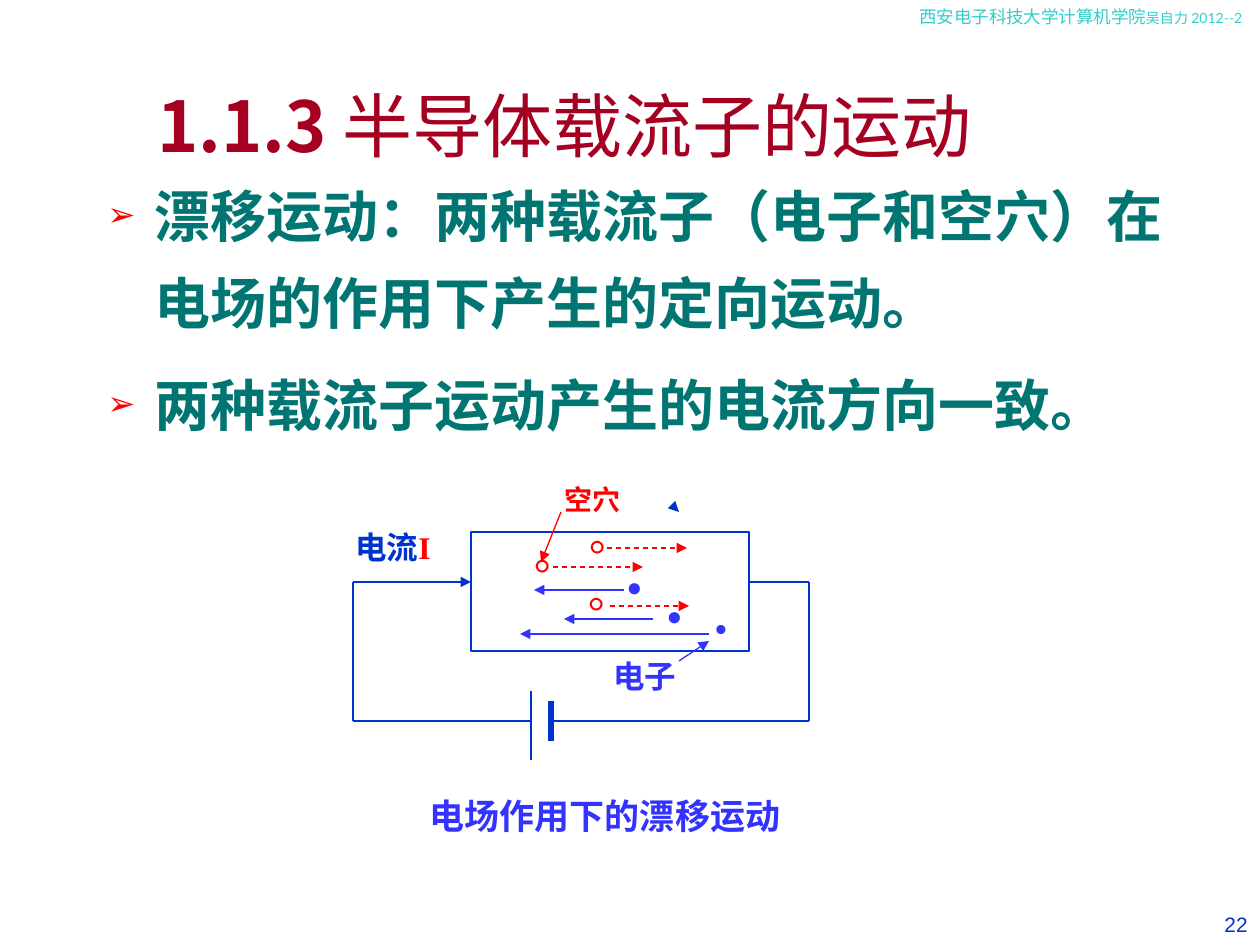
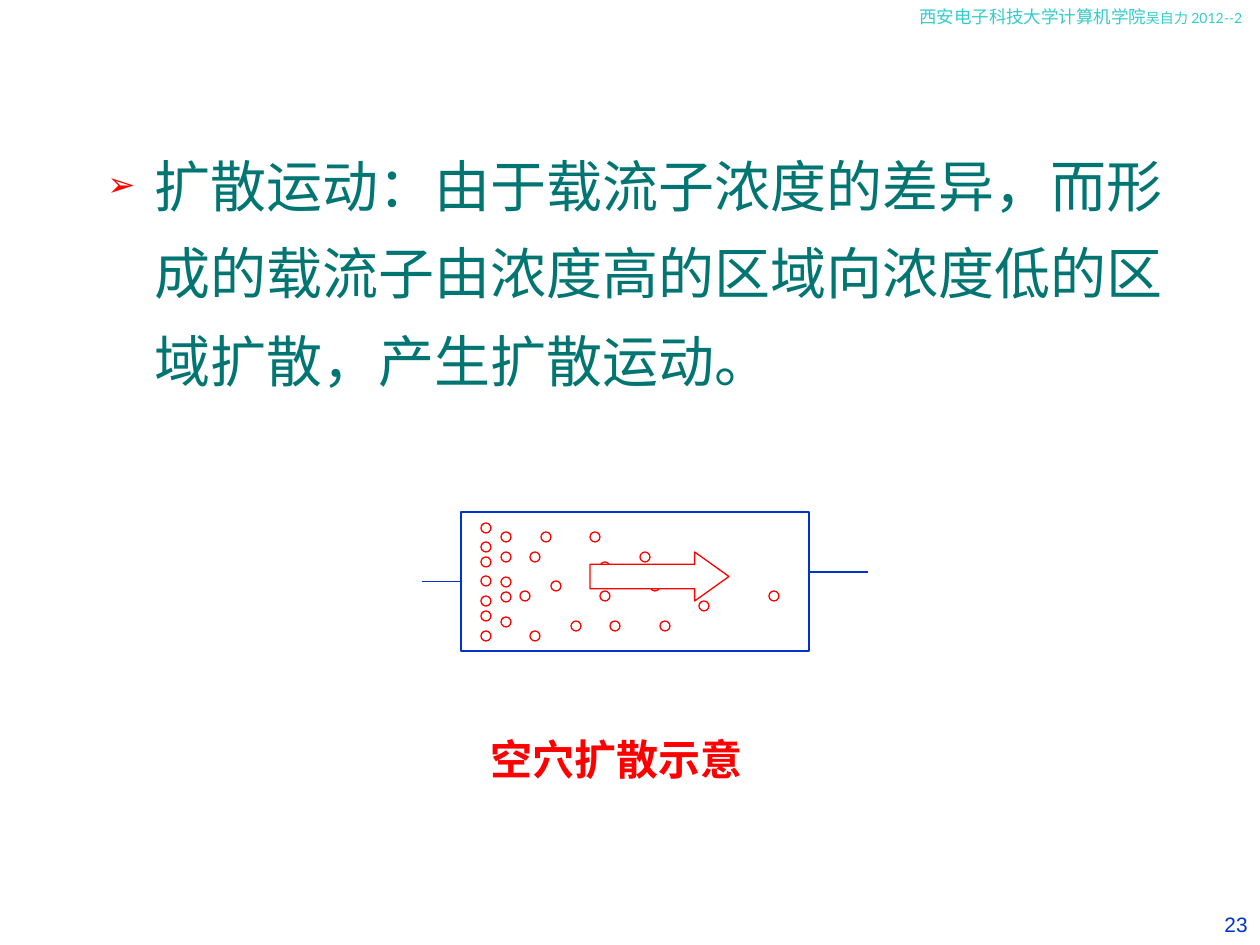
from lxml.etree import SubElement
from pptx import Presentation
from pptx.dml.color import RGBColor
from pptx.enum.dml import MSO_LINE
from pptx.enum.shapes import MSO_CONNECTOR, MSO_SHAPE
from pptx.enum.text import MSO_ANCHOR, MSO_AUTO_SIZE, PP_ALIGN
from pptx.oxml.ns import qn
from pptx.util import Pt

PX = 914400 / 126
BLUE, VIOLET, RED = "0033CC", "3333FF", "FF0000"
TEAL, CRIMSON, AQUA, WHITE = "007572", "A50021", "33CCCC", "FFFFFF"
CJK, SERIF, SANS, BODY = "Noto Sans CJK SC", "Times New Roman", "Arial", "Lato"

HEADER = [("西安电子科技大学计算机学院", {}), ("吴自力 2012--2", {"size": 8})]
TITLE = [("1.1.3 ", {"bold": True}), ("半导体载流子的运动", {})]
DRIFT_POINTS = [
    [("漂移运动：两种载流子（电子和空穴）在电场的作用下产生的定向运动。", {})],
    [("两种载流子", {"font": SANS}), ("运动产生的电流方向一致。", {})],
]
DIFFUSION_POINTS = [
    [("扩散运动：由于载流子浓度的差异，而形成的载流子由浓度高的区域向浓度低的区域扩散，产生扩散运动。", {})],
]

# Lines: x1, y1, x2, y2
WIRES = [
    (749, 582, 809, 582), (353, 582, 353, 721), (353, 721, 531, 721),
    (551, 721, 809, 721), (809, 582, 809, 721), (531, 691, 531, 760),
]
CURRENT_ARROWS = [(353, 582, 471, 582), (678, 511, 679, 512)]
BATTERY_PLATE = (551, 701, 551, 741)
HOLE_PATHS = [(607, 548, 687, 548), (610, 606, 689, 606), (553, 567, 643, 567)]
ELECTRON_PATHS = [(624, 590, 534, 590), (653, 619, 564, 619), (709, 634, 520, 634)]
HOLE_POINTER = (561, 512, 541, 562)
ELECTRON_POINTER = (679, 661, 709, 641)

# Text marks: symbol, left, top, width, height, size, colour
CARRIERS = [
    ("。", 577, 503, 67, 63, 24, RED), ("。", 522, 522, 67, 63, 24, RED),
    (".", 610, 493, 49, 126, 54, VIOLET), (".", 650, 522, 49, 126, 54, VIOLET),
    ("∙", 699, 572, 44, 106, 44, VIOLET),
]
# Labels: spans, left, top, width, height, size, colour
DRIFT_LABELS = [
    ([("电流", {}), ("I", {"color": RED})], 328, 522, 130, 50, 18, BLUE),
    ("电子", 601, 651, 88, 50, 18, VIOLET),
    ("电场作用下的漂移运动", 405, 788, 400, 55, 20, VIOLET),
]
DIFFUSION_LABELS = [("空穴扩散示意", 467, 727, 300, 63, 24, RED)]

HOLE_SIZE = 10
HOLE_COLUMNS = {  # left: tops
    481: (523, 542, 557, 576, 596, 611, 631), 501: (532, 552, 577, 592, 617),
    520: (591,), 530: (552, 631), 541: (532,), 551: (581,), 571: (621,),
    590: (532,), 600: (562, 591), 610: (621,), 640: (552,), 650: (581,),
    660: (621,), 699: (601,), 769: (591,),
}


def px(*lengths):
    return [round(length * PX) for length in lengths]


def rgb(value):
    return RGBColor.from_string(value)


def fill_para(para, spans, size=18, font=SERIF, color=BLUE, bold=False, align=PP_ALIGN.LEFT):
    """Write a string or a list of (text, overrides) into a paragraph."""
    para.alignment = align
    base = {"size": size, "font": font, "color": color, "bold": bold}
    for text, changes in [(spans, {})] if isinstance(spans, str) else spans:
        look = {**base, **changes}
        span = para.add_run()
        span.text = text
        span.font.size = Pt(look["size"])
        span.font.name = look["font"]
        span.font.bold = look["bold"]
        span.font.color.rgb = rgb(look["color"])
        SubElement(span.font._element, qn("a:ea"), typeface=CJK)


def add_text(page, at, spans, wrap=True, **look):
    frame = page.shapes.add_textbox(*px(*at)).text_frame
    frame.word_wrap = wrap
    if not wrap:
        frame.auto_size = MSO_AUTO_SIZE.SHAPE_TO_FIT_TEXT
    fill_para(frame.paragraphs[0], spans, **look)


def add_labels(page, labels, bold=True):
    for spans, *at, size, color in labels:
        add_text(page, at, spans, wrap=False, size=size, color=color, bold=bold,
                 align=PP_ALIGN.CENTER)


def add_bullets(page, at, points, **look):
    frame = page.shapes.add_textbox(*px(*at)).text_frame
    frame.word_wrap = True
    hang = px(47)[0]
    for index, spans in enumerate(points):
        para = frame.add_paragraph() if index else frame.paragraphs[0]
        para.line_spacing = 1.3
        if index:
            para.space_before = Pt(8)
        props = para._p.get_or_add_pPr()
        props.set("marL", str(hang))
        props.set("indent", str(-hang))
        SubElement(SubElement(props, qn("a:buClr")), qn("a:srgbClr"), val=RED)
        SubElement(props, qn("a:buSzPct"), val="60000")
        SubElement(props, qn("a:buFont"), typeface=SANS)
        SubElement(props, qn("a:buChar"), char="➢")
        fill_para(para, spans, size=32, font=BODY, color=TEAL, **look)


def add_shape(page, kind, at, color):
    shape = page.shapes.add_shape(kind, *px(*at))
    shape.shadow.inherit = False
    shape.fill.solid()
    shape.fill.fore_color.rgb = rgb(WHITE)
    shape.line.color.rgb = rgb(color)
    shape.line.width = Pt(0.75)
    return shape


def add_line(page, ends, color=BLUE, width=0.75, dashed=False, arrow=False):
    line = page.shapes.add_connector(MSO_CONNECTOR.STRAIGHT, *px(*ends))
    line.line.color.rgb = rgb(color)
    line.line.width = Pt(width)
    if dashed:
        line.line.dash_style = MSO_LINE.DASH
    if arrow:
        SubElement(line.line._get_or_add_ln(), qn("a:tailEnd"), type="triangle")
    SubElement(line._element.spPr, qn("a:effectLst"))
    return line


def add_page(deck, number):
    page = deck.slides.add_slide(deck.slide_layouts[6])
    add_text(page, (907, 0, 353, 50), HEADER, wrap=False, size=10, font=BODY, color=AQUA)
    add_text(page, (945, 906, 315, 39), str(number), size=11.9, font=SANS,
             align=PP_ALIGN.RIGHT)
    return page


def build_drift(deck):
    page = add_page(deck, 22)
    add_bullets(page, (95, 155, 1102, 287), DRIFT_POINTS, bold=True)
    add_text(page, (145, 76, 924, 97), TITLE, size=40, font=CJK, color=CRIMSON)

    semiconductor = add_shape(page, MSO_SHAPE.RECTANGLE, (471, 532, 278, 119), BLUE)
    frame = semiconductor.text_frame
    frame.word_wrap = False
    frame.vertical_anchor = MSO_ANCHOR.MIDDLE
    fill_para(frame.paragraphs[0], "。", size=24, color=RED, align=PP_ALIGN.CENTER)

    for wire in WIRES:
        add_line(page, wire)
    for arrow in CURRENT_ARROWS:
        add_line(page, arrow, arrow=True)
    add_line(page, BATTERY_PLATE, width=3)
    add_labels(page, CARRIERS, bold=False)
    for hole_path in HOLE_PATHS:
        add_line(page, hole_path, RED, dashed=True, arrow=True)
    for electron_path in ELECTRON_PATHS:
        add_line(page, electron_path, VIOLET, arrow=True)
    add_line(page, HOLE_POINTER, RED, arrow=True)
    add_line(page, ELECTRON_POINTER, VIOLET, arrow=True)
    add_text(page, (552, 476, 125, 47), "空穴", size=16, color=RED, bold=True)
    add_labels(page, DRIFT_LABELS)


def build_diffusion(deck):
    page = add_page(deck, 23)
    add_bullets(page, (95, 125, 1102, 287), DIFFUSION_POINTS)
    semiconductor = add_shape(page, MSO_SHAPE.RECTANGLE, (461, 512, 348, 139), BLUE)
    for left, tops in HOLE_COLUMNS.items():
        for top in tops:
            add_shape(page, MSO_SHAPE.OVAL, (left, top, HOLE_SIZE, HOLE_SIZE), RED)
    flow = add_shape(page, MSO_SHAPE.RIGHT_ARROW, (590, 552, 139, 49), RED)
    flow.adjustments[1] = 0.7
    left_lead = add_line(page, (422, 581.5, 461, 581.5))
    left_lead.end_connect(semiconductor, 1)
    add_line(page, (809, 572, 868, 572))
    add_labels(page, DIFFUSION_LABELS)


def main():
    deck = Presentation()
    deck.slide_width, deck.slide_height = px(1260, 945)
    build_drift(deck)
    build_diffusion(deck)
    deck.save("out.pptx")


if __name__ == "__main__":
    main()
